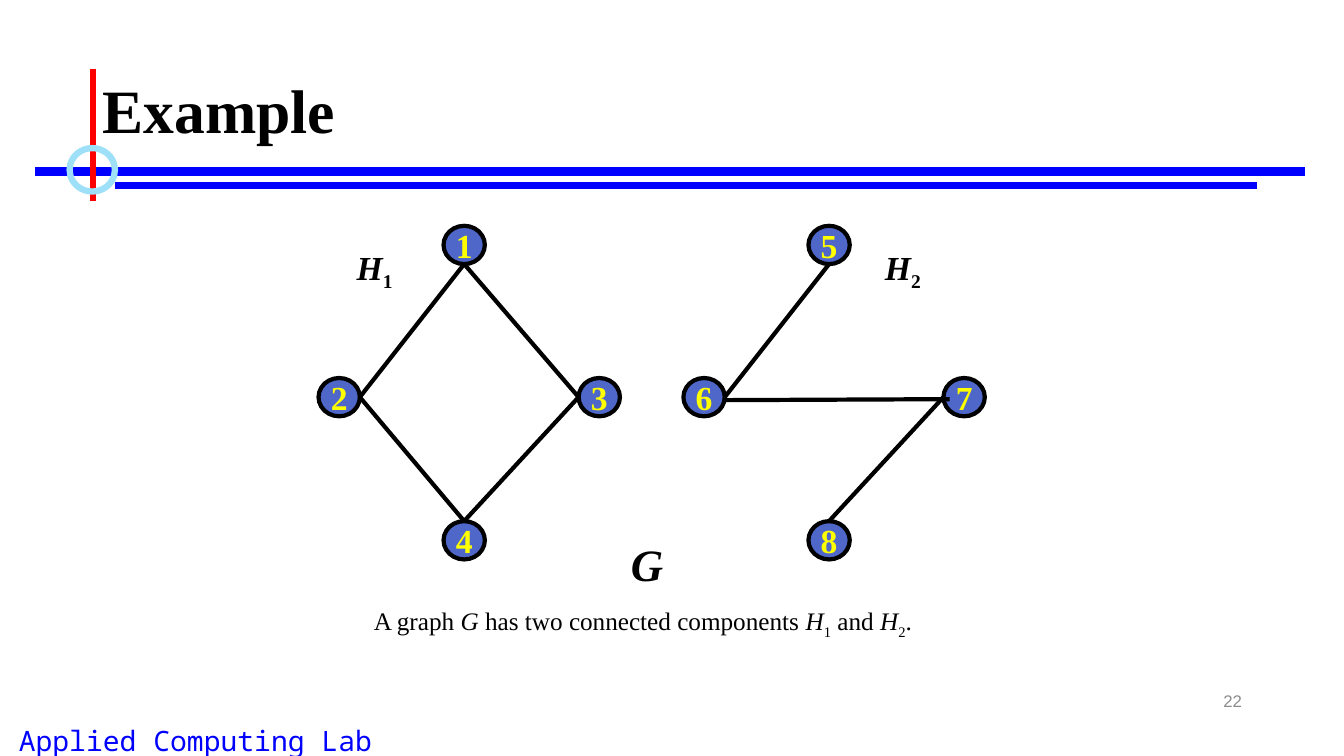
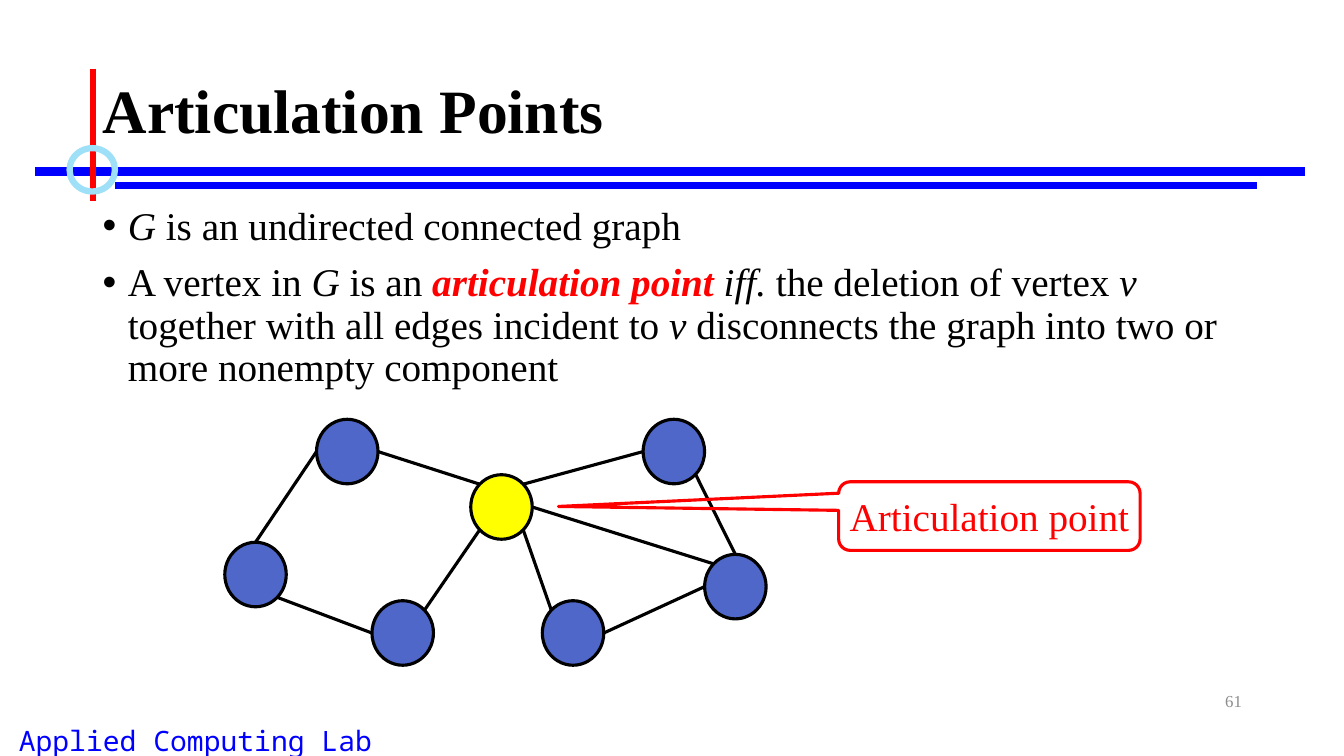
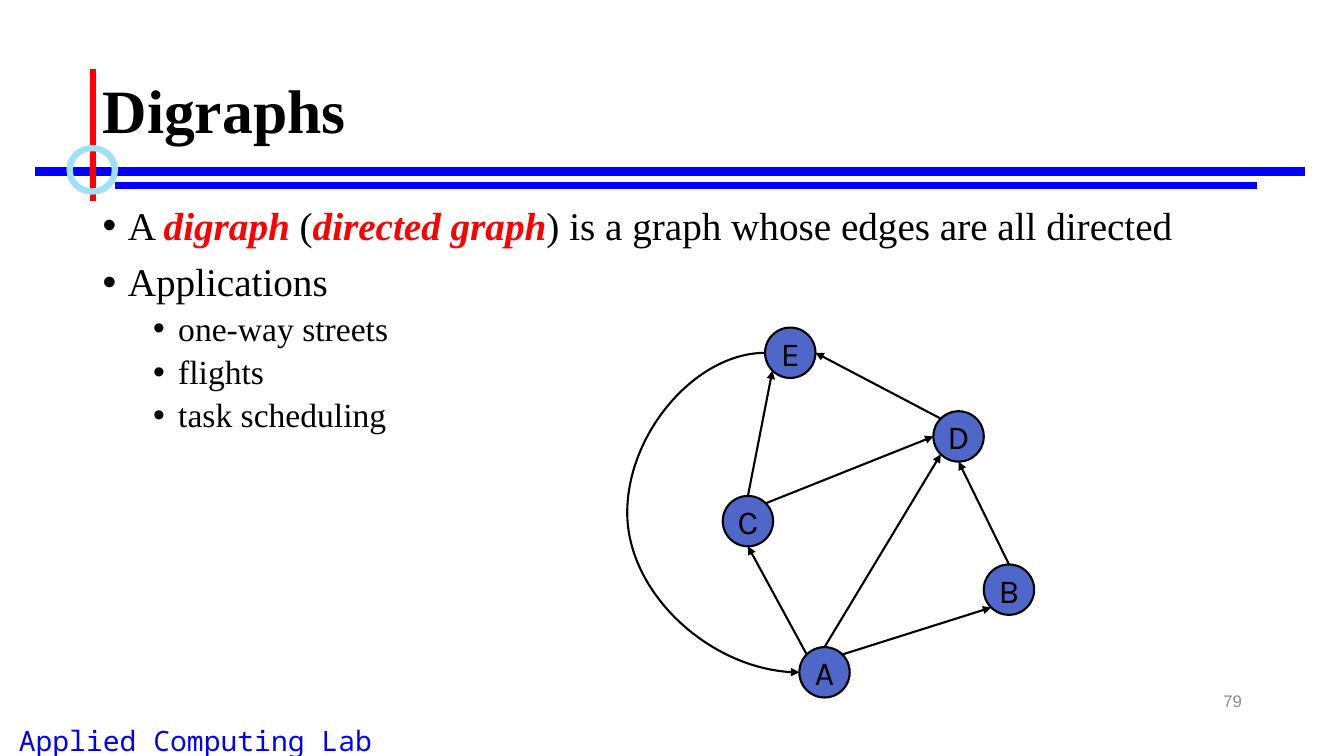
import math
import pptx
import pptx.util
import pptx.dml.color
import pptx.enum.shapes
import pptx.enum.text
import pptx.oxml.ns
from lxml import etree

RGB = pptx.dml.color.RGBColor
SHAPE = pptx.enum.shapes.MSO_SHAPE
WIRE = pptx.enum.shapes.MSO_CONNECTOR
ALIGN = pptx.enum.text.PP_ALIGN
ANCHOR = pptx.enum.text.MSO_ANCHOR
qn = pptx.oxml.ns.qn

BLACK = RGB(0x00, 0x00, 0x00)
BLUE = RGB(0x00, 0x00, 0xFF)
RED = RGB(0xFF, 0x00, 0x00)
SKY = RGB(0x9E, 0xE0, 0xF8)
GREY = RGB(0x8C, 0x8C, 0x8C)
INDIGO = RGB(0x4E, 0x67, 0xC8)
YELLOW = RGB(0xFF, 0xFF, 0x00)

SERIF = "Times New Roman"
SANS = "Arial"
MONO = "Noto Sans Mono"
LETTER = "Karla"

COLS, ROWS = 133.33, 75
CELL = pptx.util.Inches(0.1)
SITES = ["n", "nw", "w", "sw", "s", "se", "e", "ne"]


def cells(*counts):
    return [round(count * CELL) for count in counts]


def style(font, size, name=SERIF, color=BLACK, bold=False):
    font.size = pptx.util.Pt(size)
    font.name = name
    font.color.rgb = color
    font.bold = bold


def write(para, parts, size, name=SERIF, color=BLACK, bold=False):
    style(para.font, size, name, color, bold)
    if isinstance(parts, str):
        parts = [(parts, "")]
    for words, marks in parts:
        run = para.add_run()
        run.text = words
        if "i" in marks:
            run.font.italic = True
        if "b" in marks:
            run.font.bold = True
        if "r" in marks:
            run.font.color.rgb = RED
        if "s" in marks:
            run.font._element.set("baseline", "-25000")


def label(slide, box, parts, size, name=SERIF, color=BLACK, bold=False,
          align=ALIGN.LEFT, anchor=ANCHOR.TOP, space=None):
    frame = slide.shapes.add_textbox(*cells(*box)).text_frame
    frame.word_wrap = False
    frame.vertical_anchor = anchor
    para = frame.paragraphs[0]
    para.alignment = align
    para.line_spacing = space
    write(para, parts, size, name, color, bold)


def bullets(slide, items):
    frame = slide.shapes.add_textbox(*cells(9.2, 20, 115, 47.6)).text_frame
    frame.word_wrap = True
    for index, (level, parts) in enumerate(items):
        para = frame.add_paragraph() if index else frame.paragraphs[0]
        para.level = level
        para.line_spacing = 0.9
        if index:
            para.space_before = pptx.util.Pt(5 if level else 10)
        props = para._p.get_or_add_pPr()
        left, hang = cells(2.5 + 5 * level, -2.5)
        props.set("marL", str(left))
        props.set("indent", str(hang))
        etree.SubElement(props, qn("a:buFont")).set("typeface", SANS)
        etree.SubElement(props, qn("a:buChar")).set("char", "•")
        write(para, parts, 24 if level else 28)


def solid(slide, kind, box, fill, color, width):
    shape = slide.shapes.add_shape(kind, *cells(*box))
    shape.shadow.inherit = False
    if fill is None:
        shape.fill.background()
    else:
        shape.fill.solid()
        shape.fill.fore_color.rgb = fill
    shape.line.color.rgb = color
    shape.line.width = pptx.util.Pt(width)
    return shape


def inner(shape, words, size, name, color, bold=False):
    frame = shape.text_frame
    frame.word_wrap = False
    frame.vertical_anchor = ANCHOR.MIDDLE
    frame.margin_left = frame.margin_right = 0
    frame.margin_top = frame.margin_bottom = 0
    para = frame.paragraphs[0]
    para.alignment = ALIGN.CENTER
    write(para, words, size, name, color, bold)


def stroke(slide, ends, color, width, arrow=None, kind=WIRE.STRAIGHT):
    line = slide.shapes.add_connector(kind, *ends)
    line.line.color.rgb = color
    line.line.width = pptx.util.Pt(width)
    props = line.element.spPr
    if arrow:
        tip = etree.SubElement(props.find(qn("a:ln")), qn("a:" + arrow))
        tip.set("type", "triangle")
    etree.SubElement(props, qn("a:effectLst"))
    return line


def point(node, site):
    angle = math.radians(90 + 45 * SITES.index(site))
    return (round(node.left + node.width * (1 + math.cos(angle)) / 2),
            round(node.top + node.height * (1 - math.sin(angle)) / 2))


def glue(line, *ends):
    props = line.element.nvCxnSpPr.cNvCxnSpPr
    for tag, (node, site) in zip(("a:stCxn", "a:endCxn"), ends):
        joint = etree.SubElement(props, qn(tag))
        joint.set("id", str(node.shape_id))
        joint.set("idx", str(SITES.index(site)))


def link(slide, nodes, route, width, arrow=None):
    first, out, last, into = route.split()
    start, end = (nodes[first], out), (nodes[last], into)
    line = stroke(slide, point(*start) + point(*end), BLACK, width, arrow)
    glue(line, start, end)


def loop(slide, start, end, bend):
    ends = point(*end) + point(*start)
    line = stroke(slide, ends, BLACK, 1.5, "headEnd", WIRE.CURVE)
    props = line.element.spPr
    props.find(qn("a:xfrm")).set("rot", str(180 * 60000))
    geom = props.find(qn("a:prstGeom"))
    guide = etree.SubElement(geom.find(qn("a:avLst")), qn("a:gd"))
    guide.set("name", "adj1")
    guide.set("fmla", f"val {round(bend * 100000)}")
    glue(line, start, end)


def base(deck, title, number, face=SANS):
    slide = deck.slides.add_slide(deck.slide_layouts[6])
    label(slide, (0, 71.3, 38.8, 3.7), "Applied Computing Lab", 20, MONO, BLUE,
          align=ALIGN.CENTER)
    for ends, color, width in [((3.5, 17, 129.5, 17), BLUE, 6),
                               ((11.4, 18.4, 124.7, 18.4), BLUE, 4.5),
                               ((9.2, 6.8, 9.2, 19.9), RED, 4.5)]:
        stroke(slide, cells(*ends), color, width)
    solid(slide, SHAPE.OVAL, (6.9, 14.7, 4.5, 4.3), None, SKY, 4.5)
    label(slide, (94.2, 67.5, 30, 4), number, 12, face, GREY,
          align=ALIGN.RIGHT, anchor=ANCHOR.MIDDLE)
    label(slide, (9.2, 4, 115, 14.5), title, 44, bold=True,
          anchor=ANCHOR.MIDDLE, space=0.9)
    return slide


def parts_slide(deck):
    slide = base(deck, "Example", "22")
    spots = [(44, 22.4), (31.6, 37.5), (57.4, 37.5), (44, 51.7)]
    nodes = {}
    for group in range(2):
        for index, (left, top) in enumerate(spots):
            name = str(4 * group + index + 1)
            box = (left + 36.2 * group, top, 4.1, 3.8)
            nodes[name] = solid(slide, SHAPE.OVAL, box, INDIGO, BLACK, 3)
            inner(nodes[name], name, 24, SERIF, YELLOW, True)
        label(slide, (34.4 + 52.4 * group, 24, 5.8, 5),
              [("H", "i"), (str(group + 1), "s")], 24, bold=True)
    for route in ["1 s 2 e", "1 s 3 w", "2 e 4 n", "3 w 4 n",
                  "5 s 6 e", "7 w 8 n"]:
        link(slide, nodes, route, 3)
    stroke(slide, cells(94.2, 39.6, 71.8, 39.7), BLACK, 3)
    label(slide, (61.6, 52.8, 5.3, 6.4), [("G", "i")], 32, bold=True)
    label(slide, (36.1, 59.6, 56.2, 4),
          [("A graph ", ""), ("G", "i"), (" has two connected components ", ""),
           ("H", "i"), ("1", "s"), (" and ", ""), ("H", "i"), ("2", "s"),
           (".", "")], 18)


def joint_slide(deck):
    slide = base(deck, "Articulation Points", "61", SERIF)
    bullets(slide, [
        (0, [("G", "i"), (" is an undirected connected graph", "")]),
        (0, [("A vertex in ", ""), ("G", "i"), (" is an ", ""),
             ("articulation point ", "rbi"), ("iff.", "i"),
             (" the deletion of vertex ", ""), ("v", "i"),
             (" together with all edges incident to ", ""), ("v", "i"),
             (" disconnects the graph into two or more nonempty component",
              "")])])
    spots = {"a": (31.4, 41.6), "b": (22.3, 53.8), "c": (36.9, 59.6),
             "hub": (46.7, 47.1), "d": (53.8, 59.6), "e": (69.9, 55),
             "f": (63.8, 41.6)}
    nodes = {name: solid(slide, SHAPE.OVAL, (*spot, 6.1, 6.4),
                         YELLOW if name == "hub" else INDIGO, BLACK, 2.25)
             for name, spot in spots.items()}
    for route in ["a w b n", "a e hub nw", "hub sw c ne", "c w b se",
                  "hub se d nw", "hub ne f w", "f se e n", "e w d e",
                  "hub e e nw"]:
        link(slide, nodes, route, 2.25)
    note = solid(slide, SHAPE.ROUNDED_RECTANGULAR_CALLOUT,
                 (83.2, 47.8, 29.9, 6.8), None, RED, 2.25)
    note.adjustments[0] = -1.43
    note.adjustments[1] = -0.14
    inner(note, "Articulation point", 28, SERIF, RED)


def arrow_slide(deck):
    slide = base(deck, "Digraphs", "79")
    bullets(slide, [
        (0, [("A ", ""), ("digraph", "rbi"), (" (", ""),
             ("directed graph", "rbi"),
             (") is a graph whose edges are all directed", "")]),
        (0, "Applications"),
        (1, "one-way streets"),
        (1, "flights"),
        (1, "task scheduling")])
    spots = {"A": (79.3, 64.2), "C": (71.7, 49.2), "E": (75.9, 32.5),
             "B": (97.6, 56), "D": (92.6, 40.8)}
    nodes = {}
    for name, spot in spots.items():
        nodes[name] = solid(slide, SHAPE.OVAL, (*spot, 5, 5), INDIGO, BLACK, 1.5)
        inner(nodes[name], name, 24, LETTER, BLACK)
    for route in ["A nw C s", "A ne B sw", "C n E sw", "D nw E e",
                  "B n D s", "A n D sw", "C ne D w"]:
        link(slide, nodes, route, 1.5, "tailEnd")
    loop(slide, (nodes["A"], "w"), (nodes["E"], "w"), 5.02)


def main():
    deck = pptx.Presentation()
    deck.slide_width, deck.slide_height = cells(COLS, ROWS)
    parts_slide(deck)
    joint_slide(deck)
    arrow_slide(deck)
    deck.save("out.pptx")


if __name__ == "__main__":
    main()
